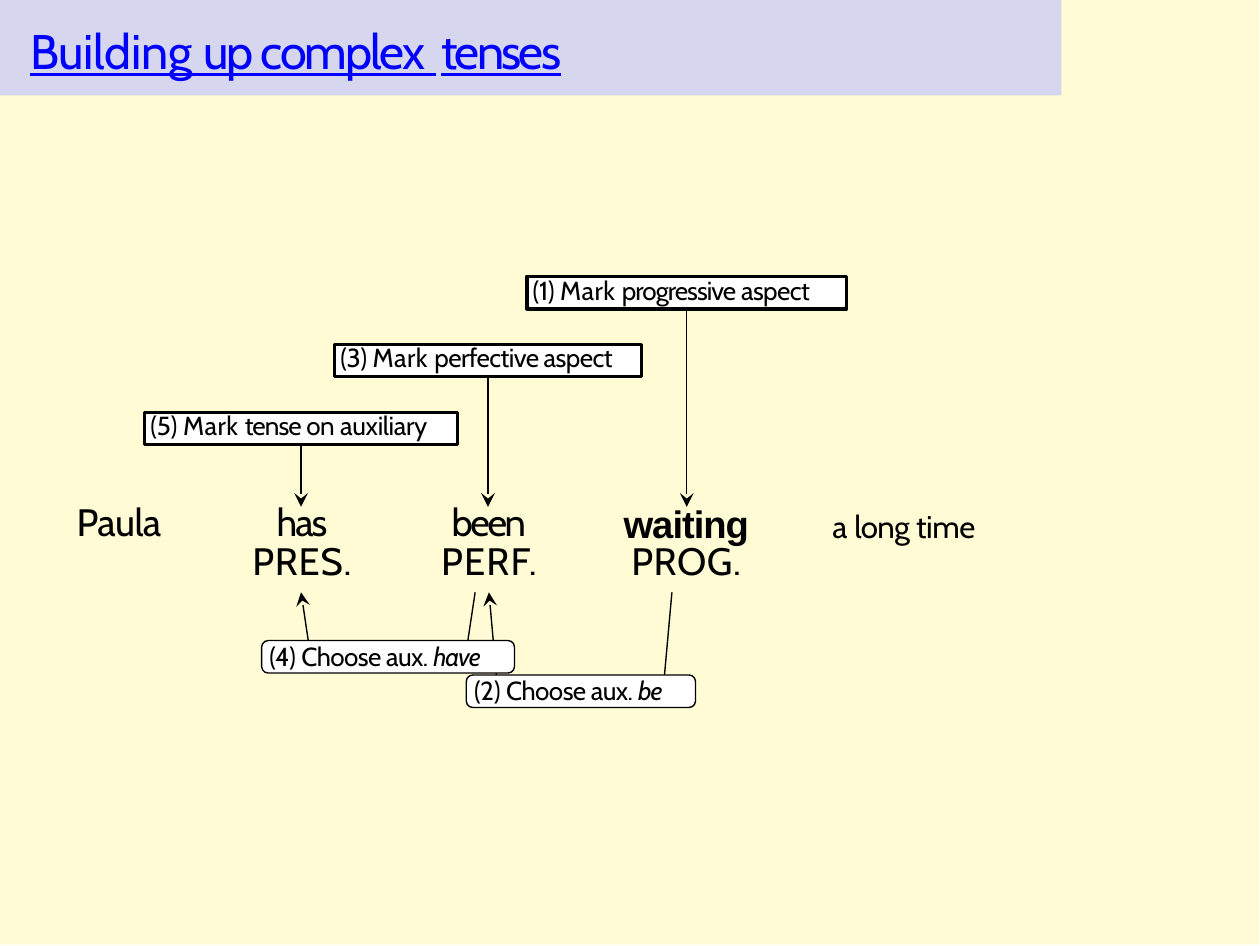
from dataclasses import dataclass

from lxml import etree
from pptx import Presentation
from pptx import util as u
from pptx.dml.color import RGBColor
from pptx.enum import shapes, text
from pptx.oxml.ns import qn

Cm, Pt = u.Cm, u.Pt
CENTER = text.PP_ALIGN.CENTER


@dataclass(frozen=True)
class Theme:
    paper: RGBColor = RGBColor(0xFF, 0xFC, 0xD5)
    band: RGBColor = RGBColor(0xD6, 0xD6, 0xEF)
    title: RGBColor = RGBColor(0x00, 0x00, 0xFF)
    ink: RGBColor = RGBColor(0x00, 0x00, 0x00)
    white: RGBColor = RGBColor(0xFF, 0xFF, 0xFF)
    font: str = "Cabin"
    strong_font: str = "Arial"
    title_size: float = 14
    word_size: float = 11
    adverb_size: float = 9
    step_size: float = 7.5
    thin: float = 0.4
    thick: float = 0.98


THEME = Theme()
PAGE_SIZE = {"slide_width": Pt(363), "slide_height": Pt(272.5)}
NO_GRID_STYLE = "{2D5ABB26-0587-4C30-8999-92F81FD0307C}"

# Runs are (wording, letter spacing in points, optional font settings)
ITALIC = {"italic": True}
TITLE = [("Building ", -0.1), ("up complex", -0.6), (" ", 1.4), ("tenses", -0.8)]
WAITING = {"name": THEME.strong_font, "bold": True}
ADVERB = {"size": Pt(THEME.adverb_size)}
SENTENCE = [
    [[("Paula", -0.2)], [("has", -0.6)], [("been", -0.7)],
     [("waiting", -0.3, WAITING)],
     [("a ", 0, ADVERB), ("long ", -0.2, ADVERB), ("time", -0.1, ADVERB)]],
    [[], [("PRES.", 0.2)], [("PERF.", 0.3)], [("PROG.", 0.1)], []],
]
COLUMN_WIDTHS = [1.42, 1.9, 1.9, 2.11, 2.06]
ROWS = [(0.41, 10.2), (0.38, 9.9)]  # height in cm, line spacing in points
LEFT_INDENTS = {0: 0.08, 4: 0.43}   # columns that are not centred

# Marking steps: word centre, box width, runs
MARK_STEPS = [
    (6.98, 3.25, [("(1) ", -0.1), ("Mark ", 0.1), ("progressive ", -0.3),
                  ("aspect", -0.2)]),
    (4.96, 3.12, [("(3) ", -0.1), ("Mark ", 0.1), ("perfective aspect", -0.2)]),
    (3.06, 3.18, [("(5) ", -0.1), ("Mark ", 0.1), ("tense ", -0.3),
                  ("on ", -0.2), ("auxiliary", -0.1)]),
]
MARK_TOP, MARK_PITCH, ARROW_TIP = 2.81, 0.69, 5.15
STEP_HEIGHT = 0.33

# Auxiliary steps: loop start, loop end, loop bottom, box left, top, width, runs
AUX_STEPS = [
    (6.83, 4.97, 7.04, 4.74, 6.86, 2.33,
     [("(2) ", -0.1), ("Choose aux. ", -0.2), ("be", -0.3, ITALIC)]),
    (4.83, 3.06, 6.68, 2.66, 6.51, 2.57,
     [("(4) ", -0.1), ("Choose aux. ", -0.2), ("have", -0.3, ITALIC)]),
]
LOOP_TOP = 6.02


def apply(target, values):
    for key, value in values.items():
        setattr(target, key, value)


def write(paragraph, runs, size, color=THEME.ink, **layout):
    apply(paragraph, layout)
    for wording, spacing, *extra in runs:
        run = paragraph.add_run()
        run.text = wording
        apply(run.font, {"name": THEME.font, "size": Pt(size)})
        for settings in extra:
            apply(run.font, settings)
        run.font.color.rgb = color
        run.font._element.set("spc", str(round(spacing * 100)))


def set_frame(frame, left=0, top=0):
    apply(frame, {"margin_left": Cm(left), "margin_top": Cm(top),
                  "margin_right": 0, "margin_bottom": 0, "word_wrap": True,
                  "vertical_anchor": text.MSO_ANCHOR.TOP})


def draw_line(shape, width, arrow=False):
    shape.line.color.rgb = THEME.ink
    shape.line.width = Pt(width)
    if arrow:
        ln = shape.element.spPr.find(qn("a:ln"))
        etree.SubElement(ln, qn("a:tailEnd"), type="stealth", w="sm", len="sm")


def add_box(slide, kind, left, top, width, height, fill):
    box = slide.shapes.add_shape(kind, Cm(left), Cm(top), Cm(width), Cm(height))
    box.shadow.inherit = False
    box.fill.solid()
    box.fill.fore_color.rgb = fill
    box.line.fill.background()
    return box


def add_step(slide, kind, left, top, width, runs, border):
    step = add_box(slide, kind, left, top, width, STEP_HEIGHT, THEME.white)
    draw_line(step, border)
    set_frame(step.text_frame, left=0.06)
    write(step.text_frame.paragraphs[0], runs, THEME.step_size,
          alignment=text.PP_ALIGN.LEFT, line_spacing=Pt(8.3))
    return step


def add_down_arrow(slide, step, x):
    arrow = slide.shapes.add_connector(shapes.MSO_CONNECTOR.STRAIGHT, Cm(x),
                                       step.top + step.height, Cm(x), Cm(ARROW_TIP))
    arrow.begin_connect(step, 2)
    draw_line(arrow, THEME.thin, arrow=True)
    etree.SubElement(arrow.element.spPr, qn("a:effectLst"))


def add_loop(slide, start, end, bottom):
    points = [(start - 0.08, bottom - 0.13), (start - 0.28, bottom),
              (end + 0.28, bottom), (end + 0.08, bottom - 0.13), (end, LOOP_TOP)]
    builder = slide.shapes.build_freeform(Cm(start), Cm(LOOP_TOP))
    builder.add_line_segments([(Cm(x), Cm(y)) for x, y in points], close=False)
    loop = builder.convert_to_shape()
    loop.shadow.inherit = False
    loop.fill.background()
    draw_line(loop, THEME.thin, arrow=True)


def add_title(slide):
    add_box(slide, shapes.MSO_SHAPE.RECTANGLE, 0, 0, 10.79, 0.97, THEME.band)
    title = slide.shapes.add_textbox(Cm(0.25), Cm(0.16), Cm(6), Cm(0.69))
    set_frame(title.text_frame, left=0.06, top=0.05)
    underlined = [(*run, {"underline": True}) for run in TITLE]
    write(title.text_frame.paragraphs[0], underlined, THEME.title_size,
          THEME.title, space_before=Pt(1.4))


def add_sentence(slide):
    frame = slide.shapes.add_table(
        len(ROWS), len(COLUMN_WIDTHS), Cm(0.7), Cm(5.19),
        Cm(sum(COLUMN_WIDTHS)), Cm(sum(height for height, _ in ROWS)))
    table = frame.table
    apply(table, {"first_row": False, "horz_banding": False})
    next(frame.element.iter(qn("a:tableStyleId"))).text = NO_GRID_STYLE
    for column, width in zip(table.columns, COLUMN_WIDTHS):
        column.width = Cm(width)
    for r, (height, leading) in enumerate(ROWS):
        table.rows[r].height = Cm(height)
        for c, runs in enumerate(SENTENCE[r]):
            cell = table.cell(r, c)
            apply(cell, {"margin_left": Cm(LEFT_INDENTS.get(c, 0)), "margin_top": 0,
                         "margin_right": 0, "margin_bottom": 0})
            cell.fill.solid()
            cell.fill.fore_color.rgb = THEME.paper
            paragraph = cell.text_frame.paragraphs[0]
            write(paragraph, runs, THEME.word_size, line_spacing=Pt(leading),
                  alignment=None if c in LEFT_INDENTS else CENTER)
            if not runs:  # keeps an empty cell from stretching its row
                etree.SubElement(paragraph._p, qn("a:endParaRPr"), sz="800")


def main():
    deck = Presentation()
    apply(deck, PAGE_SIZE)
    slide = deck.slides.add_slide(deck.slide_layouts[6])

    # Paper, title band and sentence
    add_box(slide, shapes.MSO_SHAPE.RECTANGLE, 0, 0, 12.8, 9.6, THEME.paper)
    add_title(slide)
    add_sentence(slide)

    # Marking steps above the sentence
    for i, (center, width, runs) in enumerate(MARK_STEPS):
        step = add_step(slide, shapes.MSO_SHAPE.RECTANGLE, center - width / 2,
                        MARK_TOP + i * MARK_PITCH, width, runs, THEME.thick)
        add_down_arrow(slide, step, center)

    # Auxiliary choices below the sentence
    for start, end, bottom, left, top, width, runs in AUX_STEPS:
        add_loop(slide, start, end, bottom)
        step = add_step(slide, shapes.MSO_SHAPE.ROUNDED_RECTANGLE, left, top,
                        width, runs, THEME.thin)
        step.adjustments[0] = 0.2

    deck.save("out.pptx")


if __name__ == "__main__":
    main()
